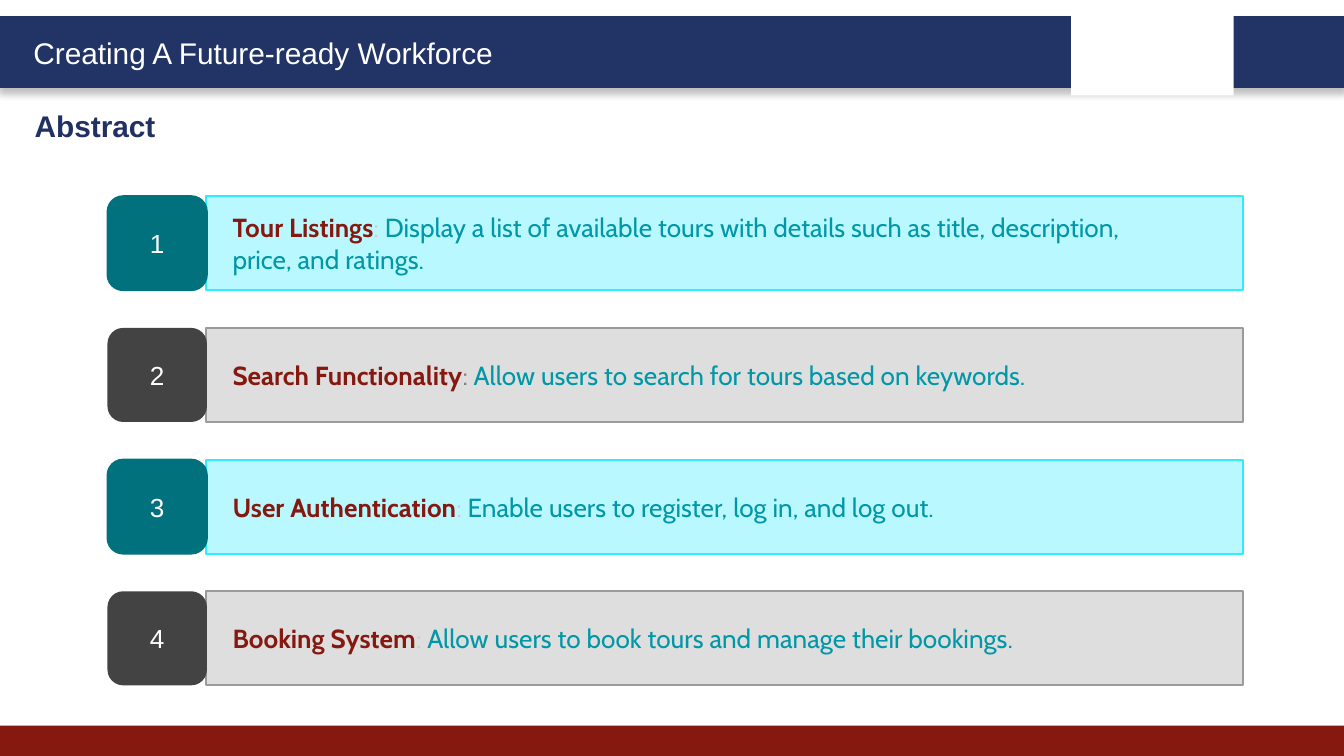
import pptx
import pptx.util
import pptx.dml.color
import pptx.enum.shapes
import pptx.enum.text
import pptx.oxml
import pptx.oxml.ns

Inches = pptx.util.Inches
Pt = pptx.util.Pt
RGBColor = pptx.dml.color.RGBColor
Kind = pptx.enum.shapes.MSO_SHAPE
Align = pptx.enum.text.PP_ALIGN
Anchor = pptx.enum.text.MSO_ANCHOR
Fit = pptx.enum.text.MSO_AUTO_SIZE

WHITE = RGBColor(0xFF, 0xFF, 0xFF)
NAVY = RGBColor(0x22, 0x33, 0x66)
INDIGO = RGBColor(0x21, 0x31, 0x63)
MAROON = RGBColor(0x85, 0x19, 0x10)
TEAL = RGBColor(0x00, 0x71, 0x7D)
AQUA = RGBColor(0xBA, 0xF8, 0xFF)
CYAN = RGBColor(0x31, 0xEB, 0xFF)
DARK = RGBColor(0x43, 0x43, 0x43)
PALE = RGBColor(0xDE, 0xDE, 0xDE)
GREY = RGBColor(0x9B, 0x9B, 0x9B)
SILVER = RGBColor(0xCC, 0xCC, 0xCC)
MID = RGBColor(0x80, 0x80, 0x80)
OCEAN = RGBColor(0x00, 0x97, 0xA7)

ITEMS = [
    ("Tour Listings", SILVER,
     "Display a list of available tours with details such as title, description, price, and ratings."),
    ("Search Functionality", MID, "Allow users to search for tours based on keywords."),
    ("User Authentication", SILVER, "Enable users to register, log in, and log out."),
    ("Booking System", SILVER, "Allow users to book tours and manage their bookings."),
]
STYLES = [(AQUA, CYAN, TEAL, TEAL), (PALE, GREY, DARK, None)]
WIDTH = 10
TOP, STEP, HEIGHT = 1.46, 0.98, 0.7


def add_box(slide, kind, area, fill, line=None, width=1):
    box = slide.shapes.add_shape(kind, *map(Inches, area))
    box.shadow.inherit = False
    box.fill.solid()
    box.fill.fore_color.rgb = fill
    if line is None:
        box.line.fill.background()
    else:
        box.line.color.rgb = line
        box.line.width = Pt(width)
    return box


def add_run(para, text, size, font, color, bold=False):
    run = para.add_run()
    run.text = text
    run.font.size = Pt(size)
    run.font.name = font
    run.font.color.rgb = color
    run.font.bold = bold


def add_label(slide, area, text, color, bold=False):
    box = slide.shapes.add_textbox(*map(Inches, area))
    frame = box.text_frame
    frame.word_wrap = True
    frame.auto_size = Fit.SHAPE_TO_FIT_TEXT
    add_run(frame.paragraphs[0], text, 16, "Arial", color, bold)


def set_frame(box, align):
    frame = box.text_frame
    frame.word_wrap = True
    frame.vertical_anchor = Anchor.MIDDLE
    frame.paragraphs[0].alignment = align
    return frame


def cast_shadow(box):
    space = pptx.oxml.ns.nsdecls("a")
    effects = box.element.spPr.find(pptx.oxml.ns.qn("a:effectLst"))
    effects.append(pptx.oxml.parse_xml(
        f'<a:outerShdw {space} blurRad="{Pt(4)}" dist="{Pt(3)}" dir="5400000" '
        'algn="t" rotWithShape="0"><a:srgbClr val="000000">'
        '<a:alpha val="25000"/></a:srgbClr></a:outerShdw>'))


def add_item(slide, index, item, style):
    title, tint, detail = item
    fill, edge, badge, rim = style
    top = TOP + index * STEP
    panel = add_box(slide, Kind.RECTANGLE, (1.53, top, 7.72, HEIGHT), fill, edge)
    frame = set_frame(panel, Align.LEFT)
    frame.margin_left = Inches(0.2)
    frame.margin_right = Inches(0.7)
    para = frame.paragraphs[0]
    add_run(para, title, 14, "Cabin", MAROON, True)
    add_run(para, ": ", 14, "Cabin", tint)
    add_run(para, detail, 14, "Cabin", OCEAN)
    tile = add_box(slide, Kind.ROUNDED_RECTANGLE, (0.8, top, 0.74, HEIGHT), badge, rim)
    frame = set_frame(tile, Align.CENTER)
    add_run(frame.paragraphs[0], str(index + 1), 14, "Arial", WHITE)


def main():
    deck = pptx.Presentation()
    deck.slide_width = Inches(WIDTH)
    deck.slide_height = Inches(WIDTH * 9 / 16)
    slide = deck.slides.add_slide(deck.slide_layouts[6])
    banner = add_box(slide, Kind.RECTANGLE, (0, 0.13, WIDTH, 0.51), NAVY, NAVY, 2)
    cast_shadow(banner)
    add_box(slide, Kind.RECTANGLE, (0, 5.4, WIDTH, 0.23), MAROON)
    add_box(slide, Kind.RECTANGLE, (7.97, 0.07, 1.21, 0.64), WHITE)
    add_label(slide, (0.15, 0.21, 3.78, 0.37), "Creating A Future-ready Workforce", WHITE)
    add_label(slide, (0.16, 0.75, 4.84, 0.37), "Abstract", INDIGO, True)
    for index, item in enumerate(ITEMS):
        add_item(slide, index, item, STYLES[index % 2])
    deck.save("out.pptx")


if __name__ == "__main__":
    main()
